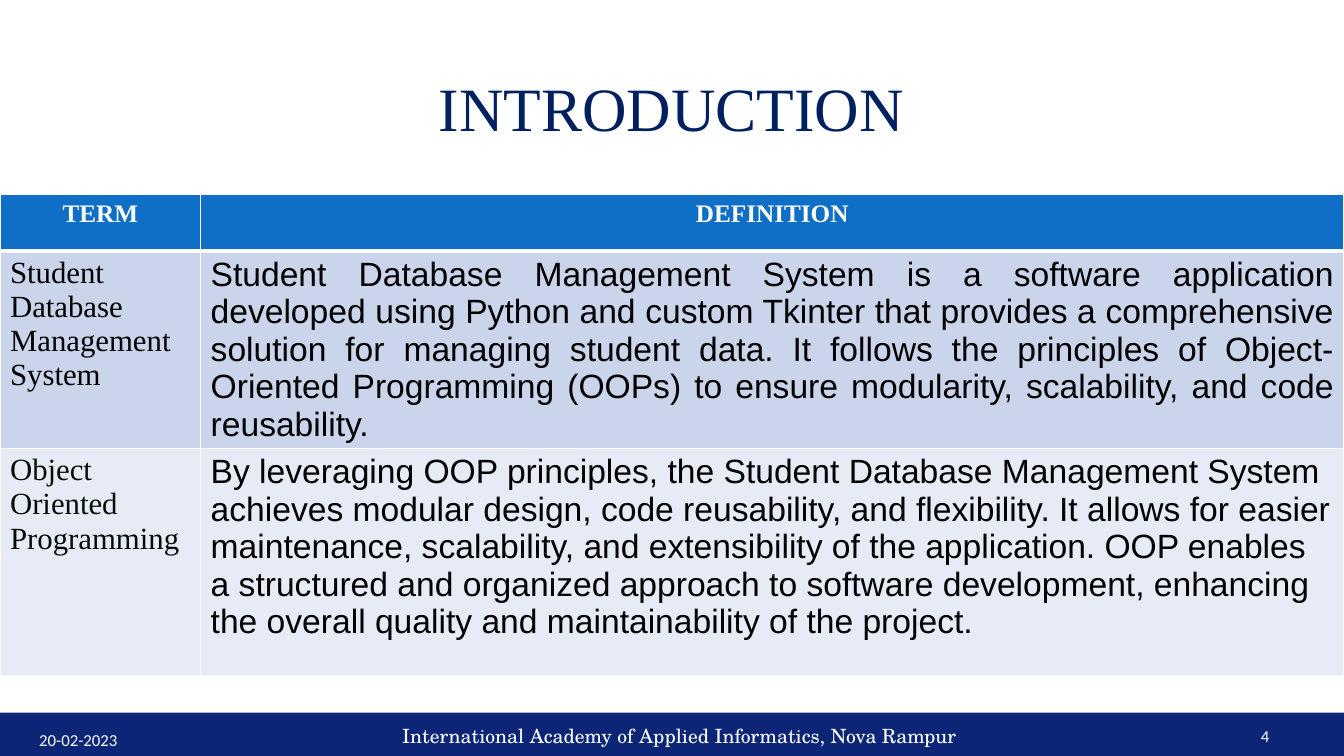
import pptx
import pptx.util
from lxml import etree
from pptx.dml.color import RGBColor
from pptx.enum.shapes import MSO_SHAPE
from pptx.enum.text import MSO_ANCHOR, PP_ALIGN
from pptx.oxml.ns import qn

Inches, Pt = pptx.util.Inches, pptx.util.Pt
LEFT, CENTER, RIGHT, JUSTIFY = PP_ALIGN.LEFT, PP_ALIGN.CENTER, PP_ALIGN.RIGHT, PP_ALIGN.JUSTIFY
SERIF, SANS = "Times New Roman", "Arial"

COLORS = {
    "white": "FFFFFF", "black": "000000", "ink": "020F06", "title": "002060",
    "footer": "0C2577", "header": "0F6FC6", "band_dark": "CAD4EA", "band_light": "E6EBF5",
}
SLIDE_W, SLIDE_H = 13.33, 7.5
TABLE_TOP = 1.93
COLUMNS = [1.99, 11.34]

# Each row: height, fill, bottom border in points, cells
# Each cell: text, font, size, colour, alignment
TABLE = [
    (0.56, "header", 3, [
        ("TERM", SERIF, 18, "white", CENTER),
        ("DEFINITION", SERIF, 18, "white", CENTER),
    ]),
    (1.75, "band_dark", 1, [
        ("Student Database Management System", SERIF, 22, "black", JUSTIFY),
        ("Student Database Management System is a software application developed using "
         "Python and custom Tkinter that provides a comprehensive solution for managing "
         "student data. It follows the principles of Object-Oriented Programming (OOPs) "
         "to ensure modularity, scalability, and code reusability.",
         SANS, 24, "black", JUSTIFY),
    ]),
    (2.25, "band_light", 1, [
        ("Object Oriented Programming", SERIF, 22, "ink", JUSTIFY),
        ("By leveraging OOP principles, the Student Database Management System achieves "
         "modular design, code reusability, and flexibility. It allows for easier "
         "maintenance, scalability, and extensibility of the application. OOP enables a "
         "structured and organized approach to software development, enhancing the "
         "overall quality and maintainability of the project.",
         SANS, 24, "black", LEFT),
    ]),
]

# Each label: box (left, top, width, height), text, font, size, colour, alignment
LABELS = [
    ((2.64, 0.64, 8.04, 0.94), "INTRODUCTION", SERIF, 44, "title", CENTER),
    ((0.29, 7.17, 2.42, 0.33), "20-02-2023", "Calibri", 12, "white", LEFT),
    ((3.13, 7.1, 7.22, 0.4), "International Academy of Applied Informatics, Nova Rampur",
     "TeX Gyre Schola", 14, "white", CENTER),
    ((10.53, 7.1, 2.16, 0.4), "4", "Calibri", 12, "white", RIGHT),
]


def rgb(name):
    return RGBColor.from_string(COLORS[name])


def write(frame, text, font, size, color, align, bold=False):
    frame.word_wrap = True
    paragraph = frame.paragraphs[0]
    paragraph.text = text
    paragraph.alignment = align
    paragraph.font.name = font
    paragraph.font.size = Pt(size)
    paragraph.font.bold = bold
    paragraph.font.color.rgb = rgb(color)


def add_borders(cell, widths):
    """Put white lines on the cell's sides, ahead of its fill as the schema asks."""
    properties = cell._tc.get_or_add_tcPr()
    for place, (side, width) in enumerate(widths.items()):
        line = etree.Element(qn(f"a:ln{side}"), w=str(Pt(width)))
        fill = etree.SubElement(line, qn("a:solidFill"))
        etree.SubElement(fill, qn("a:srgbClr"), val=COLORS["white"])
        properties.insert(place, line)


def add_footer_bar(slide):
    bar = slide.shapes.add_shape(MSO_SHAPE.RECTANGLE, 0, Inches(7.07),
                                 Inches(SLIDE_W), Inches(SLIDE_H - 7.07))
    bar.shadow.inherit = False
    bar.fill.solid()
    bar.fill.fore_color.rgb = rgb("footer")
    bar.line.fill.background()


def add_definitions(slide):
    height = sum(row[0] for row in TABLE)
    table = slide.shapes.add_table(len(TABLE), len(COLUMNS), 0, Inches(TABLE_TOP),
                                   Inches(sum(COLUMNS)), Inches(height)).table
    for column, width in zip(table.columns, COLUMNS):
        column.width = Inches(width)
    top_border = 1
    for index, (row_height, fill, bottom_border, cells) in enumerate(TABLE):
        table.rows[index].height = Inches(row_height)
        for cell, content in zip(table.rows[index].cells, cells):
            write(cell.text_frame, *content, bold=index == 0)
            cell.fill.solid()
            cell.fill.fore_color.rgb = rgb(fill)
            add_borders(cell, {"L": 1, "R": 1, "T": top_border, "B": bottom_border})
        top_border = bottom_border


def add_labels(slide):
    for box, *content in LABELS:
        frame = slide.shapes.add_textbox(*map(Inches, box)).text_frame
        frame.vertical_anchor = MSO_ANCHOR.MIDDLE
        write(frame, *content)
        if content[0] == "INTRODUCTION":
            frame.paragraphs[0].line_spacing = 0.9


def main():
    deck = pptx.Presentation()
    deck.slide_width, deck.slide_height = Inches(SLIDE_W), Inches(SLIDE_H)
    slide = deck.slides.add_slide(deck.slide_layouts[6])
    add_footer_bar(slide)
    add_definitions(slide)
    add_labels(slide)
    deck.save("out.pptx")


if __name__ == "__main__":
    main()
